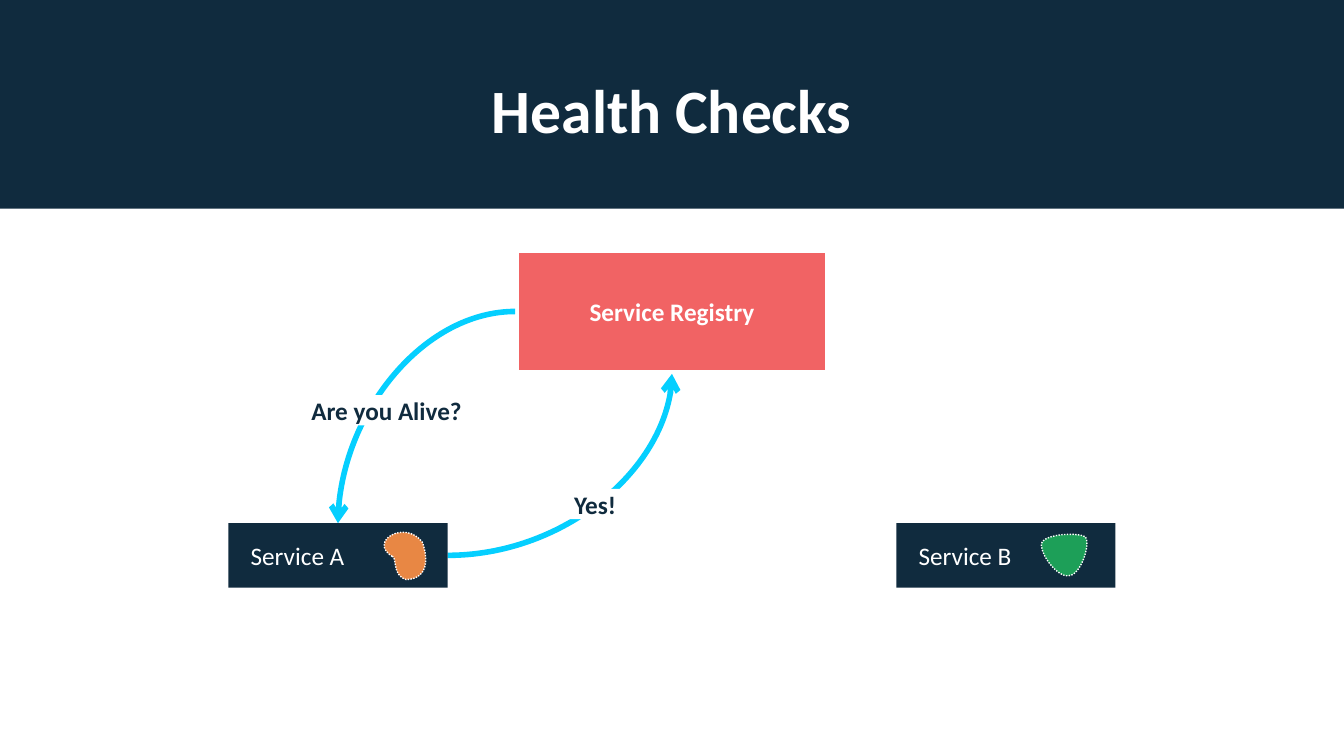
from lxml.etree import SubElement
from pptx import Presentation
from pptx.dml.color import RGBColor
from pptx.enum.dml import MSO_LINE
from pptx.enum.shapes import MSO_CONNECTOR, MSO_SHAPE
from pptx.enum.text import MSO_ANCHOR, PP_ALIGN
from pptx.oxml.ns import qn
from pptx.util import Inches, Pt

NAVY, WHITE, CORAL, CYAN = "102B3E", "FFFFFF", "F16364", "05CFFF"
rgb = RGBColor.from_string

deck = Presentation()
deck.slide_width, deck.slide_height = Inches(13.33), Inches(7.5)
slide = deck.slides.add_slide(deck.slide_layouts[6])
shapes = slide.shapes


def emu(x, y):
    """Turn percentages of the slide's width and height into EMU."""
    return round(x * deck.slide_width / 100), round(y * deck.slide_height / 100)


def add_block(x, y, width, height, fill, text="", color=WHITE, size=18,
              bold=True, align=PP_ALIGN.CENTER):
    """Add a borderless filled rectangle with vertically centred text."""
    block = shapes.add_shape(MSO_SHAPE.RECTANGLE, *emu(x, y), *emu(width, height))
    block.shadow.inherit = False
    block.fill.solid()
    block.fill.fore_color.rgb = rgb(fill)
    block.line.fill.background()
    if text:
        frame = block.text_frame
        frame.text = text
        frame.word_wrap = True
        frame.vertical_anchor = MSO_ANCHOR.MIDDLE
        paragraph = frame.paragraphs[0]
        paragraph.alignment = align
        font = paragraph.font
        font.name, font.size, font.bold = "Calibri", Pt(size), bold
        font.color.rgb = rgb(color)
    return block


# Header
add_block(0, 0, 100, 27.6, NAVY)
title = add_block(6.9, 5.33, 86.2, 19.33, NAVY, "Health Checks", size=44)
title.fill.background()
title.text_frame.paragraphs[0].line_spacing = 0.9

# Registry
REGISTRY_X, REGISTRY_Y, REGISTRY_W, REGISTRY_H = 38.33, 32.93, 23.34, 16.53
registry = add_block(REGISTRY_X, REGISTRY_Y, REGISTRY_W, REGISTRY_H, CORAL, "Service Registry")
registry.line.color.rgb = rgb(WHITE)
registry.line.width = Pt(5.5)

# Health check request and reply
SERVICE_X, SERVICE_Y, SERVICE_W, SERVICE_H = 17, 69.2, 16.3, 8.53
messages = [
    ("Are you Alive?", (19.2, 52.27),
     (REGISTRY_X, REGISTRY_Y + REGISTRY_H / 2), (SERVICE_X + SERVICE_W / 2, SERVICE_Y)),
    ("Yes!", (34.72, 64.67),
     (SERVICE_X + SERVICE_W, SERVICE_Y + SERVICE_H / 2), (50, REGISTRY_Y + REGISTRY_H)),
]
for message, label_at, start, end in messages:
    arrow = shapes.add_connector(MSO_CONNECTOR.CURVE, *emu(*start), *emu(*end))
    arrow.line.color.rgb = rgb(CYAN)
    arrow.line.width = Pt(4)
    properties = arrow._element.spPr
    properties.find(qn("a:prstGeom")).set("prst", "curvedConnector2")
    SubElement(properties.find(qn("a:ln")), qn("a:tailEnd"), type="arrow")
    SubElement(properties, qn("a:effectLst"))
    add_block(*label_at, 19.12, 4, WHITE, message, NAVY)

# Services, each with a blob outlined by three cubic curves
services = [
    ("Service A", SERVICE_X, "E88744", [
        (29.18, 73.6), (27.38, 71.6), (30.15, 68.67), (31.43, 71.73), (31.73, 73.2),
        (32.1, 76.53), (30.23, 76.67), (29.18, 76.13), (29.55, 73.73), (29.18, 73.6)]),
    ("Service B", 100 - SERVICE_X - SERVICE_W, "1D9F58", [
        (80.78, 71.07), (81.15, 72.13), (80.4, 76), (79.58, 76.13), (78.9, 76.53),
        (77.55, 74), (77.48, 72), (77.63, 70.53), (80.4, 70.4), (80.78, 71.07)]),
]
STEPS = 16
for name, x, blob_color, controls in services:
    service = add_block(x, SERVICE_Y, SERVICE_W, SERVICE_H, NAVY, name,
                        bold=False, align=PP_ALIGN.LEFT)
    service.text_frame.margin_left = Inches(0.22)

    outline = []
    for first in range(0, len(controls) - 1, 3):
        curve = controls[first:first + 4]
        for step in range(1, STEPS + 1):
            t = step / STEPS
            weights = ((1 - t) ** 3, 3 * t * (1 - t) ** 2, 3 * t * t * (1 - t), t ** 3)
            outline.append(emu(sum(w * p[0] for w, p in zip(weights, curve)),
                               sum(w * p[1] for w, p in zip(weights, curve))))
    builder = shapes.build_freeform(*outline[-1])
    builder.add_line_segments(outline[:-1], close=True)
    blob = builder.convert_to_shape()
    blob.shadow.inherit = False
    blob.fill.solid()
    blob.fill.fore_color.rgb = rgb(blob_color)
    blob.line.color.rgb = rgb(WHITE)
    blob.line.width = Pt(1)
    blob.line.dash_style = MSO_LINE.ROUND_DOT

deck.save("out.pptx")
